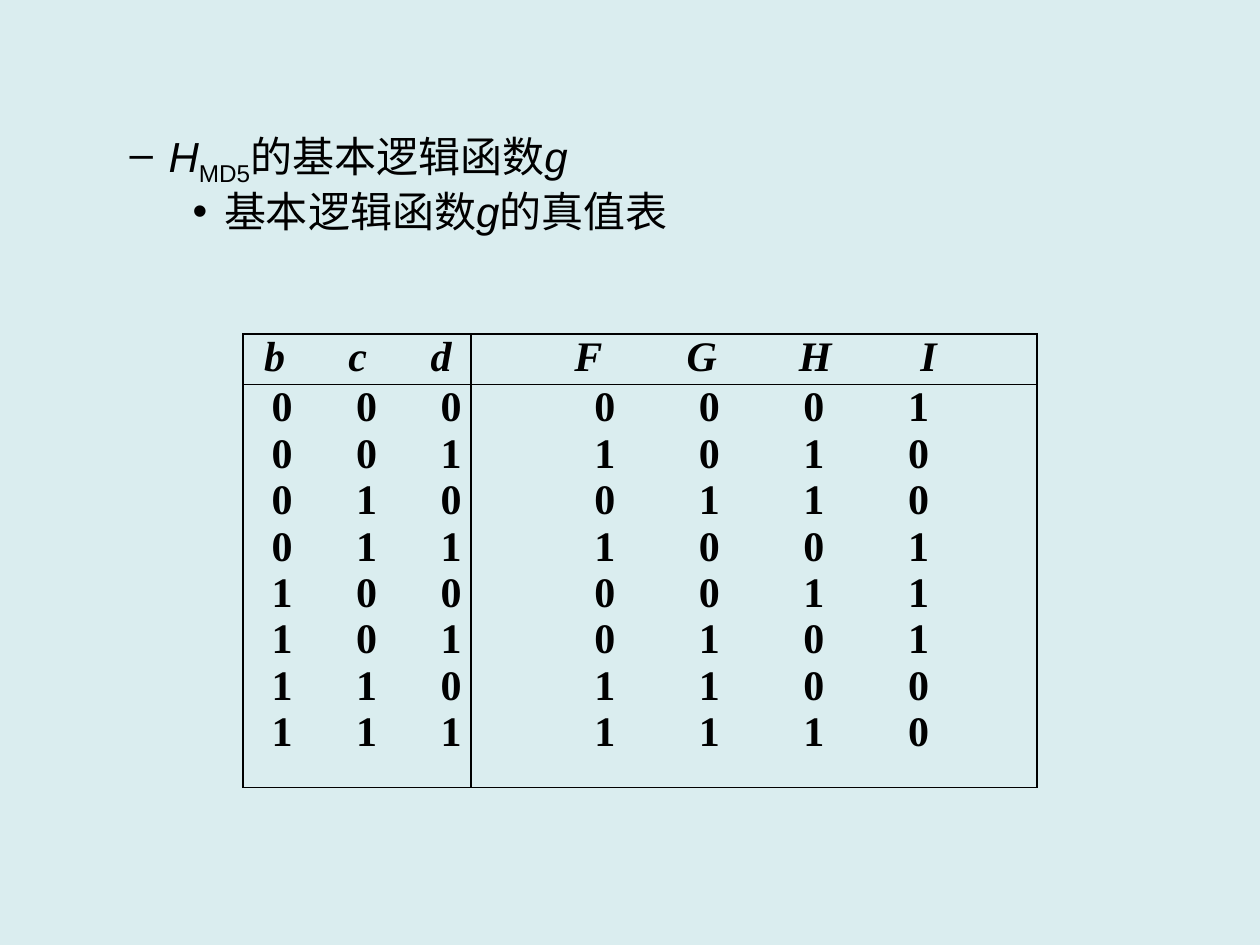
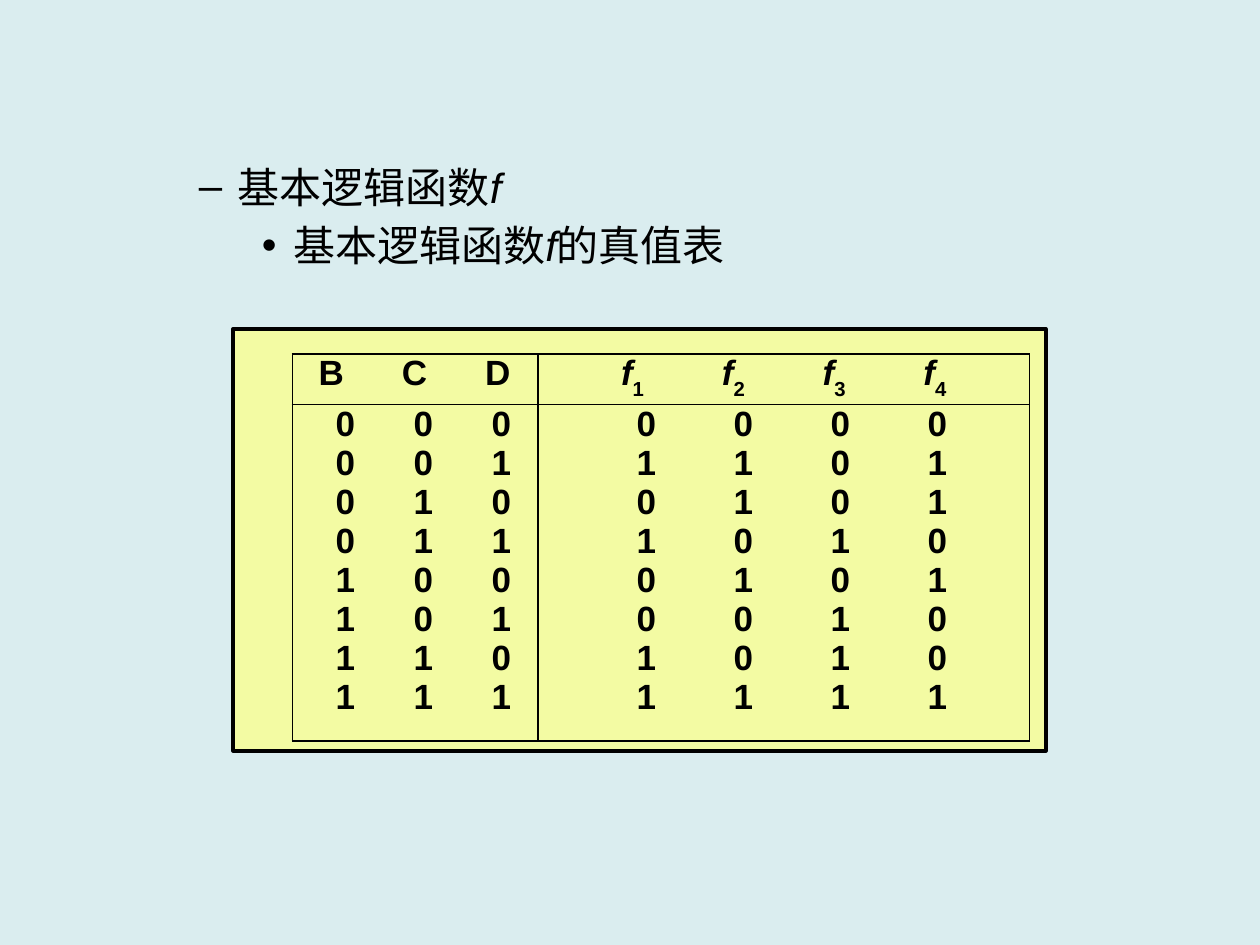
from lxml import etree
from pptx import Presentation, util as u
from pptx.dml.color import RGBColor
from pptx.enum import shapes, text
from pptx.oxml.ns import qn

hues = {"back": "DAEDEF", "ink": "000000", "panel": "F3FBA3"}
ink = RGBColor.from_string(hues["ink"])
levels = [("–", 0.81, -0.31), ("•", 1.25, -0.25)]
bits = [f"{n:03b}" for n in range(8)]

pages = [
    {
        "body": (0.43, 0.99, 6.93, 0.98), "lead": 0.9,
        "lines": [
            [("H", "i"), ("MD5", "s"), ("的基本逻辑函数", ""), ("g", "i")],
            [("基本逻辑函数", ""), ("g", "i"), ("的真值表", "")],
        ],
        "table": (1.93, 2.65, 6.3, 3.6),
        "cols": (1.81, 4.49), "rows": (0.4, 3.2),
        "font": "Times New Roman", "size": 24, "sub": -25000,
        "heads": [[("\tb\tc\td", "i")], [("\tF\tG\tH\tI", "i")]],
        "head tabs": [(0.25, 0.66), (0.93, 0.9)],
        "tabs": [(0.31, 0.67), (1.06, 0.83)],
        "values": ["0001", "1010", "0110", "1001",
                   "0011", "0101", "1100", "1110"],
    },
    {
        "panel": (1.85, 2.61, 6.45, 3.35),
        "body": (0.98, 1.23, 7.17, 0.98), "lead": 1.0,
        "lines": [
            [("基本逻辑函数", ""), ("f", "i")],
            [("基本逻辑函数", ""), ("f", "i"), ("的真值表", "")],
        ],
        "table": (2.32, 2.81, 5.85, 3.07),
        "cols": (1.95, 3.9), "rows": (0.4, 2.67),
        "font": "Arial", "size": 20, "sub": -30000,
        "heads": [[("\tB\tC\tD", "")],
                  [run for n in "1234" for run in (("\tf", "i"), (n, "s"))]],
        "head tabs": [(0.31, 0.66), (0.75, 0.8)],
        "tabs": [(0.42, 0.62), (0.86, 0.77)],
        "values": ["0000", "1101", "0101", "1010",
                   "0101", "0010", "1010", "1111"],
    },
]


def write(par, runs, face, size, bold, sub):
    par.font.name, par.font.size = face, u.Pt(size)
    par.font.bold, par.font.color.rgb = bold, ink
    for words, style in runs:
        run = par.add_run()
        run.text = words
        if style == "i":
            run.font.italic = True
        if style == "s":
            run._r.get_or_add_rPr().set("baseline", str(sub))


def fill_cell(cell, rows, tabs, page):
    cell.fill.background()
    cell.margin_left = cell.margin_right = 0
    cell.margin_top = cell.margin_bottom = 0
    props = cell._tc.get_or_add_tcPr()
    for spot, side in enumerate("LRTB"):
        line = etree.Element(qn(f"a:ln{side}"), w=str(u.Pt(1)))
        paint = etree.SubElement(line, qn("a:solidFill"))
        etree.SubElement(paint, qn("a:srgbClr"), val=hues["ink"])
        props.insert(spot, line)
    frame = cell.text_frame
    start, step = tabs
    for n, runs in enumerate(rows):
        par = frame.add_paragraph() if n else frame.paragraphs[0]
        par.alignment = text.PP_ALIGN.LEFT
        stops = etree.SubElement(par._p.get_or_add_pPr(), qn("a:tabLst"))
        for k in range(4):
            etree.SubElement(stops, qn("a:tab"), algn="ctr",
                             pos=str(u.Inches(start + k * step)))
        write(par, runs, page["font"], page["size"], True, page["sub"])


deck = Presentation()
deck.slide_width, deck.slide_height = u.Inches(10), u.Inches(7.5)

for page in pages:
    slide = deck.slides.add_slide(deck.slide_layouts[6])
    slide.background.fill.solid()
    slide.background.fill.fore_color.rgb = RGBColor.from_string(hues["back"])

    if "panel" in page:
        panel = slide.shapes.add_shape(
            shapes.MSO_SHAPE.RECTANGLE, *map(u.Inches, page["panel"]))
        panel.shadow.inherit = False
        panel.fill.solid()
        panel.fill.fore_color.rgb = RGBColor.from_string(hues["panel"])
        panel.line.color.rgb = ink
        panel.line.width = u.Pt(2)

    body = slide.shapes.add_textbox(*map(u.Inches, page["body"])).text_frame
    body.word_wrap = True
    body.auto_size = text.MSO_AUTO_SIZE.SHAPE_TO_FIT_TEXT
    for n, (runs, (mark, left, hang)) in enumerate(zip(page["lines"], levels)):
        par = body.add_paragraph() if n else body.paragraphs[0]
        par.level = n + 1
        par.line_spacing = page["lead"]
        par.space_before = u.Pt(4.8)
        props = par._p.get_or_add_pPr()
        props.set("marL", str(u.Inches(left)))
        props.set("indent", str(u.Inches(hang)))
        etree.SubElement(props, qn("a:buFont"), typeface="Arial")
        etree.SubElement(props, qn("a:buChar"), char=mark)
        write(par, runs, "Arial", 24, False, page["sub"])

    grid = slide.shapes.add_table(2, 2, *map(u.Inches, page["table"])).table
    grid.first_row = grid.horz_banding = False
    for n in range(2):
        grid.columns[n].width = u.Inches(page["cols"][n])
        grid.rows[n].height = u.Inches(page["rows"][n])
    for n, digits in enumerate((bits, page["values"])):
        rows = [[("\t" + "\t".join(word), "")] for word in digits]
        fill_cell(grid.cell(0, n), [page["heads"][n]], page["head tabs"][n], page)
        fill_cell(grid.cell(1, n), rows, page["tabs"][n], page)

deck.save("out.pptx")
